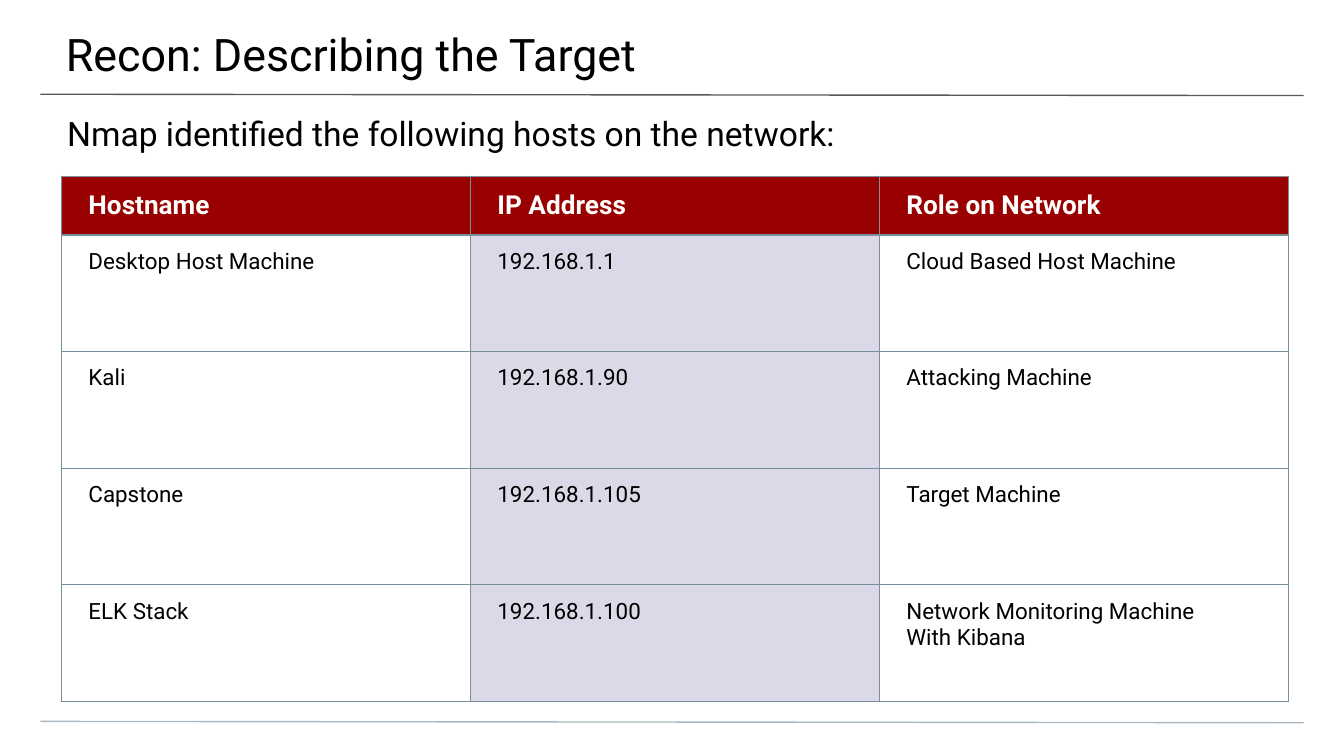
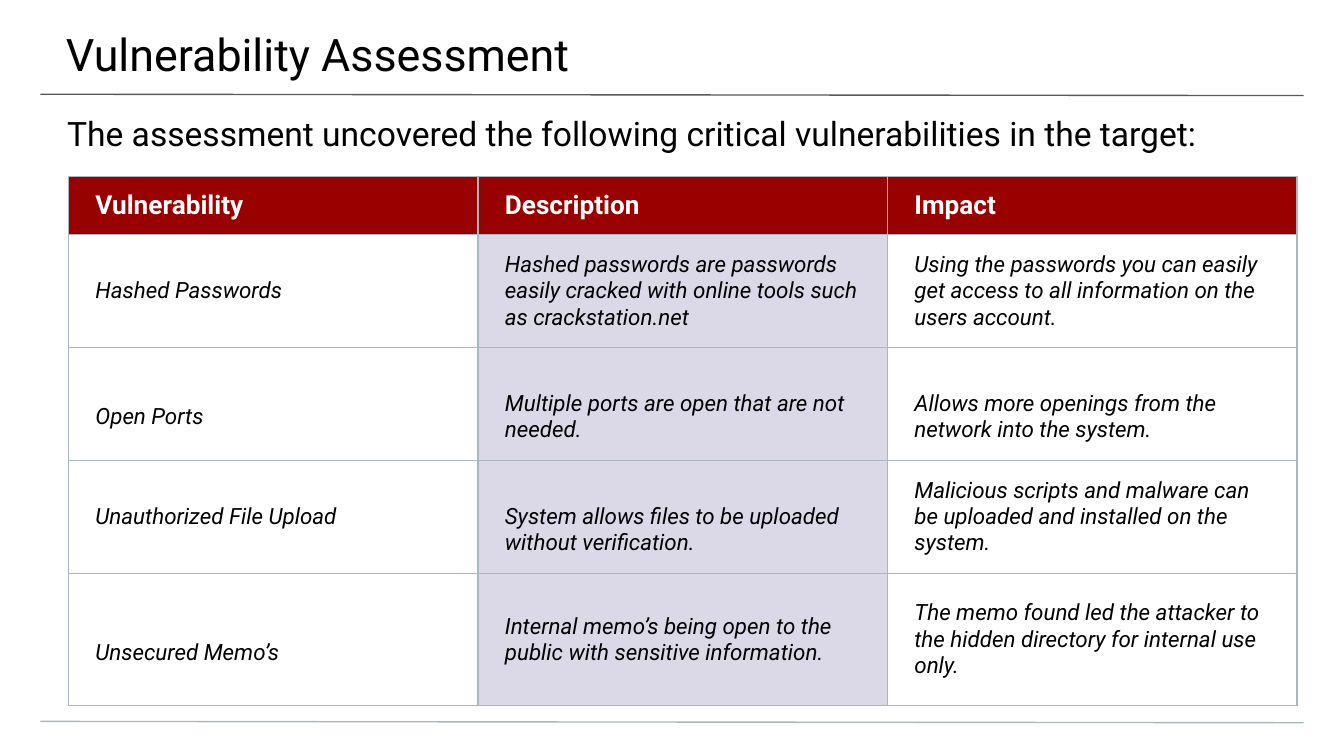
from dataclasses import dataclass

import pptx
import pptx.dml.color
import pptx.enum.shapes
import pptx.enum.text
import pptx.oxml.ns
import pptx.util
from lxml import etree
from pptx.util import Pt

COLORS = {
    "text": "000000",
    "white": "FFFFFF",
    "header": "990000",
    "highlight": "DBD9E8",
    "top_rule": "595959",
    "bottom_rule": "A9B7C0",
    "host_border": "78909C",
    "vulnerability_border": "A9B7C0",
}
FONT = "Roboto"
TITLE_ONLY = 5
TABLE_TOP = 94.5
HIGHLIGHT_COLUMN = 1
CELL_INSETS = (14.4, 7.2, 14.4, 7.2)
BODY_SIZE = 12
LINE_HEIGHT = 14  # one line of body text
ANCHOR = pptx.enum.text.MSO_ANCHOR


@dataclass
class Rule:
    """A thin line running across the slide."""
    start_y: float
    end_y: float
    color: str


@dataclass
class TableSlide:
    title: str
    subtitle: str
    left: float
    column_width: float
    row_heights: list[float]
    border: str
    rows: list[list[str]]
    italic: bool = False
    body_anchor: ANCHOR = ANCHOR.TOP
    lowered_cells: frozenset = frozenset()  # (row, column) set one line lower


RULES = [Rule(50.5, 51.2, "top_rule"), Rule(386.5, 387.2, "bottom_rule")]

SLIDES = [
    TableSlide(
        title="Recon: Describing the Target",
        subtitle="Nmap identified the following hosts on the network:",
        left=33,
        column_width=219.1,
        row_heights=[31.4] + [62.5] * 4,
        border="host_border",
        rows=[
            ["Hostname", "IP Address", "Role on Network"],
            ["Desktop Host Machine", "192.168.1.1", "Cloud Based Host Machine"],
            ["Kali", "192.168.1.90", "Attacking Machine"],
            ["Capstone", "192.168.1.105", "Target Machine"],
            ["ELK Stack", "192.168.1.100", "Network Monitoring Machine\nWith Kibana"],
        ],
    ),
    TableSlide(
        title="Vulnerability Assessment",
        subtitle="The assessment uncovered the following critical vulnerabilities in the target:",
        left=36.7,
        column_width=219.4,
        row_heights=[31.2] + [60.5] * 3 + [70.8],
        border="vulnerability_border",
        rows=[
            ["Vulnerability", "Description", "Impact"],
            ["Hashed Passwords",
             "Hashed passwords are passwords easily cracked with online tools such as crackstation.net",
             "Using the passwords you can easily get access to all information on the users account."],
            ["Open Ports",
             "Multiple ports are open that are not needed.",
             "Allows more openings from the network into the system."],
            ["Unauthorized File Upload",
             "System allows files to be uploaded without verification.",
             "Malicious scripts and malware can be uploaded and installed on the system."],
            ["Unsecured Memo’s",
             "Internal memo’s being open to the public with sensitive information.",
             "The memo found led the attacker to the hidden directory for internal use only."],
        ],
        italic=True,
        body_anchor=ANCHOR.MIDDLE,
        lowered_cells=frozenset({(2, 0), (2, 1), (2, 2), (3, 1), (4, 0)}),
    ),
]


def rgb(name: str) -> pptx.dml.color.RGBColor:
    return pptx.dml.color.RGBColor.from_string(COLORS[name])


def write_text(frame, text: str, size: float, color: str = "text",
               bold: bool = False, italic: bool = False) -> None:
    """Fill a text frame, one paragraph per line of text."""
    frame.word_wrap = True
    for index, line in enumerate(text.split("\n")):
        paragraph = frame.add_paragraph() if index else frame.paragraphs[0]
        paragraph.alignment = pptx.enum.text.PP_ALIGN.LEFT
        paragraph.space_before = Pt(0)
        run = paragraph.add_run()
        run.text = line
        run.font.name = FONT
        run.font.size = Pt(size)
        run.font.bold = bold
        run.font.italic = italic
        run.font.color.rgb = rgb(color)


def set_insets(target, left: float, top: float, right: float, bottom: float) -> None:
    """Set the inner margins of a text frame or a table cell."""
    target.margin_left, target.margin_top = Pt(left), Pt(top)
    target.margin_right, target.margin_bottom = Pt(right), Pt(bottom)


def add_rule(slide, rule: Rule) -> None:
    connector = slide.shapes.add_connector(
        pptx.enum.shapes.MSO_CONNECTOR.STRAIGHT,
        Pt(21.6), Pt(rule.start_y), Pt(698.4), Pt(rule.end_y))
    connector.line.color.rgb = rgb(rule.color)
    connector.line.width = Pt(0.75)
    etree.SubElement(connector._element.spPr, pptx.oxml.ns.qn("a:effectLst"))


def add_headings(slide, title: str, subtitle: str) -> None:
    heading = slide.shapes.title
    heading.left, heading.top = Pt(-0.7), Pt(0)
    heading.width, heading.height = Pt(722), Pt(42)
    subheading = slide.shapes.add_textbox(Pt(0), Pt(53.5), Pt(720), Pt(29))
    for shape, text, size, insets in (
        (heading, title, 24, (36, 14.4, 21.6, 7.2)),
        (subheading, subtitle, 18, (36, 7.2, 36, 0)),
    ):
        frame = shape.text_frame
        frame.auto_size = pptx.enum.text.MSO_AUTO_SIZE.NONE
        frame.vertical_anchor = ANCHOR.TOP
        set_insets(frame, *insets)
        write_text(frame, text, size)


def set_borders(cell, color: str) -> None:
    properties = cell._tc.get_or_add_tcPr()
    for side in ("a:lnL", "a:lnR", "a:lnT", "a:lnB"):
        line = etree.SubElement(properties, pptx.oxml.ns.qn(side), w=str(Pt(0.75)))
        fill = etree.SubElement(line, pptx.oxml.ns.qn("a:solidFill"))
        etree.SubElement(fill, pptx.oxml.ns.qn("a:srgbClr"), val=COLORS[color])


def format_cell(cell, content: TableSlide, row: int, column: int) -> None:
    set_borders(cell, content.border)
    left, top, right, bottom = CELL_INSETS
    if (row, column) in content.lowered_cells:
        top += LINE_HEIGHT
    set_insets(cell, left, top, right, bottom)

    is_header = row == 0
    cell.vertical_anchor = ANCHOR.MIDDLE if is_header else content.body_anchor
    if is_header or column == HIGHLIGHT_COLUMN:
        cell.fill.solid()
        cell.fill.fore_color.rgb = rgb("header" if is_header else "highlight")
    else:
        cell.fill.background()

    text = content.rows[row][column]
    if is_header:
        write_text(cell.text_frame, text, 14, "white", bold=True)
    else:
        write_text(cell.text_frame, text, BODY_SIZE, italic=content.italic)


def add_content_table(slide, content: TableSlide) -> None:
    row_count, column_count = len(content.rows), len(content.rows[0])
    table = slide.shapes.add_table(
        row_count, column_count, Pt(content.left), Pt(TABLE_TOP),
        Pt(content.column_width * column_count), Pt(sum(content.row_heights))).table
    table.first_row = table.horz_banding = False
    for column in table.columns:
        column.width = Pt(content.column_width)
    for row, height in enumerate(content.row_heights):
        table.rows[row].height = Pt(height)
        for column in range(column_count):
            format_cell(table.cell(row, column), content, row, column)


def main() -> None:
    presentation = pptx.Presentation()
    presentation.slide_width, presentation.slide_height = Pt(720), Pt(405)
    for content in SLIDES:
        slide = presentation.slides.add_slide(presentation.slide_layouts[TITLE_ONLY])
        for rule in RULES:
            add_rule(slide, rule)
        add_headings(slide, content.title, content.subtitle)
        add_content_table(slide, content)
    presentation.save("out.pptx")


if __name__ == "__main__":
    main()
